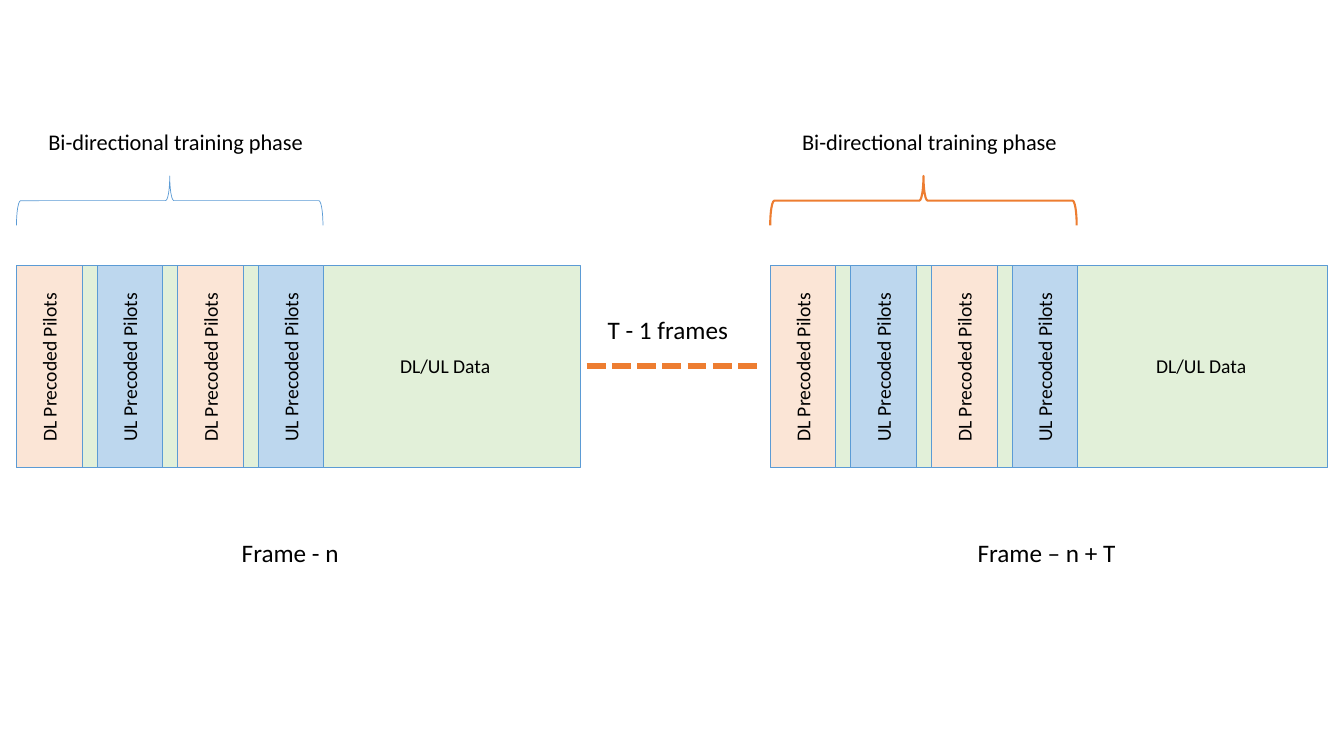
"""Draw two pilot-training frames separated by T - 1 frames."""
from pptx import Presentation
from pptx.dml.color import RGBColor
from pptx.enum.dml import MSO_LINE
from pptx.enum.shapes import MSO_CONNECTOR, MSO_SHAPE
from pptx.enum.text import MSO_AUTO_SIZE
from pptx.oxml.ns import qn
from pptx.util import Pt
from lxml import etree

RECT, BRACE = MSO_SHAPE.RECTANGLE, MSO_SHAPE.LEFT_BRACE
STRAIGHT = MSO_CONNECTOR.STRAIGHT
DASH = MSO_LINE.SQUARE_DOT
FIT = MSO_AUTO_SIZE.SHAPE_TO_FIT_TEXT

BLACK = RGBColor(0x00, 0x00, 0x00)
BLUE = RGBColor(0x5B, 0x9B, 0xD5)
ORANGE = RGBColor(0xED, 0x7D, 0x31)
GREEN_FILL = RGBColor(0xE2, 0xF0, 0xD9)
DL_FILL = RGBColor(0xFB, 0xE5, 0xD6)
UL_FILL = RGBColor(0xBD, 0xD7, 0xEE)

FRAME_TOP, FRAME_H = 189.4, 144.7
MID_Y = FRAME_TOP + FRAME_H / 2
PILOT_W, PILOT_STEP = 46.8, 57.6
BRACE_W, BRACE_H, BRACE_Y = 35.3, 218.9, 143.3

prs = Presentation()
prs.slide_width, prs.slide_height = Pt(960), Pt(540)
s = prs.slides.add_slide(prs.slide_layouts[6])


def add_box(kind, left, top, width, height, fill, line, weight):
    sp = s.shapes.add_shape(kind, Pt(left), Pt(top), Pt(width), Pt(height))
    sp.shadow.inherit = False
    if fill is None:
        sp.fill.background()
    else:
        sp.fill.solid()
        sp.fill.fore_color.rgb = fill
    sp.line.color.rgb = line
    sp.line.width = Pt(weight)
    return sp


def add_label(text, cx, cy, width, height, size, rotation=0):
    sp = s.shapes.add_textbox(Pt(cx - width / 2), Pt(cy - height / 2), Pt(width), Pt(height))
    sp.rotation = rotation
    tf = sp.text_frame
    tf.text = text
    tf.word_wrap = False
    tf.auto_size = FIT
    r = tf.paragraphs[0].runs[0]
    r.font.size = Pt(size)
    r.font.name = "Calibri"
    r.font.color.rgb = BLACK


frames = [
    (11.7, 402.9, "Frame - n", 207.7, 84.2, 318.6, BLUE, 0.5),
    (550.1, 398.2, "Frame – n + T", 748.4, 114.5, 858.6, ORANGE, 1.5),
]
pilots = [("DL", DL_FILL), ("UL", UL_FILL)] * 2

for left, width, name, name_x, name_w, data_x, brace_color, brace_weight in frames:
    add_box(RECT, left, FRAME_TOP, width, FRAME_H, GREEN_FILL, BLUE, 0.5)
    for i, (link, fill) in enumerate(pilots):
        x = left + i * PILOT_STEP
        add_box(RECT, x, FRAME_TOP, PILOT_W, FRAME_H, fill, BLUE, 0.5)
        add_label(f"{link} Precoded Pilots", x + PILOT_W / 2, MID_Y, 121.7, 24.5, 14, 270)
    add_label("DL/UL Data", data_x, MID_Y, 79.9, 24.5, 14)
    add_label(name, name_x, 394.6, name_w, 28.8, 18)
    brace = add_box(BRACE, left + 109.5 - BRACE_W / 2, BRACE_Y - BRACE_H / 2,
                    BRACE_W, BRACE_H, None, brace_color, brace_weight)
    brace.rotation = 90
    add_label("Bi-directional training phase", left + 115.1, 101.2, 198.7, 26.6, 16)

gap = s.shapes.add_connector(STRAIGHT, Pt(419), Pt(261.4), Pt(544.3), Pt(261.4))
gap.line.color.rgb = ORANGE
gap.line.width = Pt(4.5)
gap.line.dash_style = DASH
etree.SubElement(gap.element.spPr, qn("a:effectLst"))
add_label("T - 1 frames", 477.7, 235.4, 101.5, 28.8, 18)

prs.save("out.pptx")
